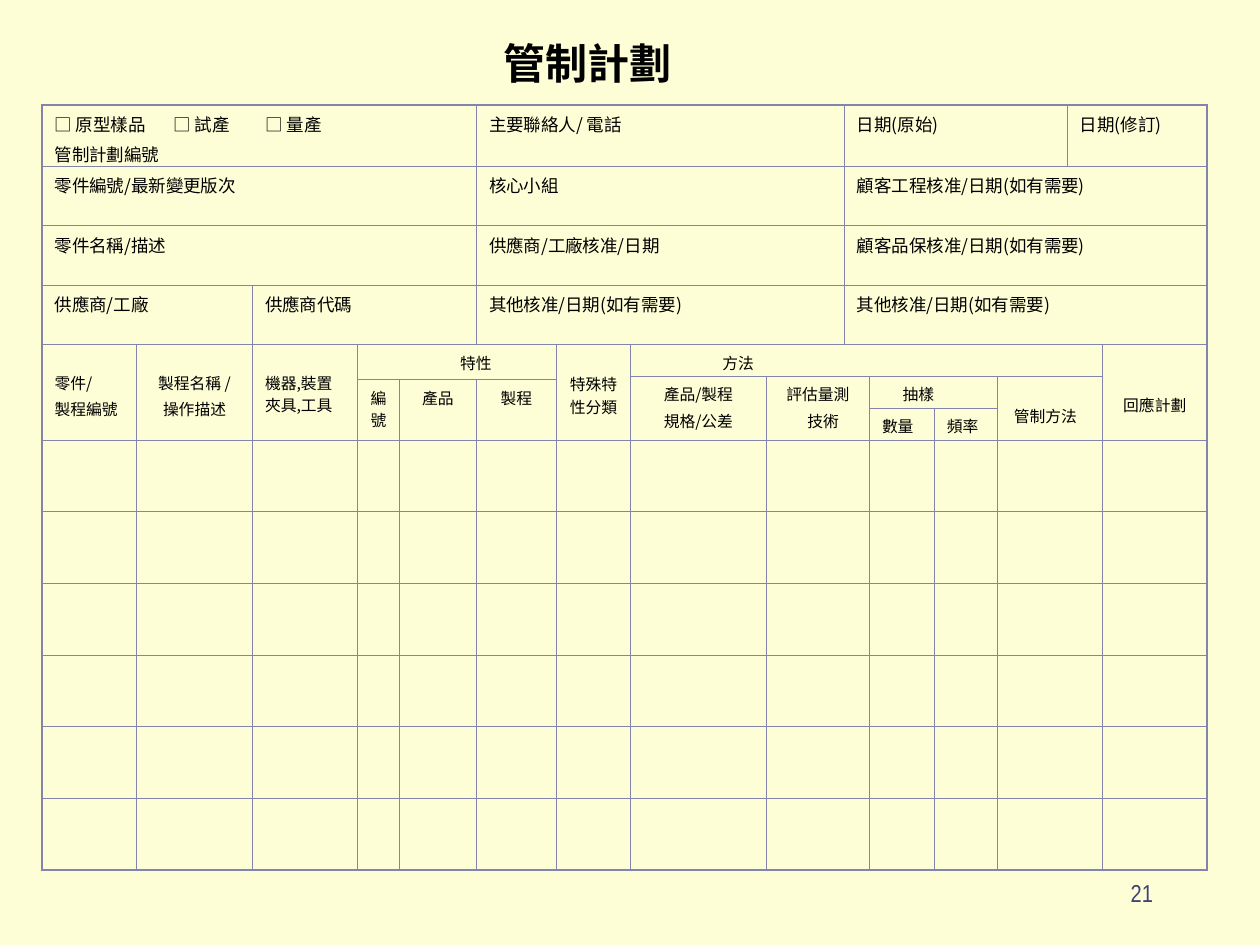
from itertools import product

from lxml.etree import SubElement
from pptx import Presentation
from pptx.dml.color import RGBColor
from pptx.enum.text import MSO_ANCHOR as Anchor, PP_ALIGN as Align
from pptx.oxml.ns import qn
from pptx.util import Pt

CJK = "Noto Sans CJK JP"
COLUMNS = [54, 66.3, 60, 24, 44, 45.7, 42.3, 77.7, 44.6, 14.3, 37.1, 36, 40, 20, 60]
HEAD_ROWS = [34] * 4 + [18, 2, 16.5, 18]
DATA_ROWS = 6
DATA_HEIGHT = 41
OPTIONAL = "/日期(如有需要)"

CONTACT_CELLS = [
    (0, 0, 5, "□ 原型樣品\t□ 試產\t□ 量產\n管制計劃編號"),
    (0, 5, 4, "主要聯絡人/ 電話"),
    (0, 9, 4, "日期(原始)"),
    (0, 13, 2, "日期(修訂)"),
    (1, 0, 5, "零件編號/最新變更版次"),
    (1, 5, 4, "核心小組"),
    (1, 9, 6, "顧客工程核准" + OPTIONAL),
    (2, 0, 5, "零件名稱/描述"),
    (2, 5, 4, "供應商/工廠核准/日期"),
    (2, 9, 6, "顧客品保核准" + OPTIONAL),
    (3, 0, 2, "供應商/工廠"),
    (3, 2, 3, "供應商代碼"),
    (3, 5, 4, "其他核准" + OPTIONAL),
    (3, 9, 6, "其他核准" + OPTIONAL),
]
HEADING_CELLS = [
    (4, 0, 4, 1, "零件/\n製程編號", dict(top=15)),
    (4, 1, 4, 1, "製程名稱 /\n操作描述", dict(top=15, align=Align.CENTER)),
    (4, 2, 4, 1, "機器,裝置夾具,工具", dict(top=15)),
    (4, 3, 2, 3, "特性", dict(left=29, align=Align.CENTER)),
    (4, 6, 4, 1, "特殊特性分類", dict(top=16, align=Align.CENTER)),
    (4, 7, 1, 7, "方法", dict(left=52.5)),
    (4, 14, 4, 1, "回應計劃", dict(top=28, align=Align.CENTER)),
    (5, 7, 3, 1, "產品/製程\n規格/公差", dict(align=Align.CENTER)),
    (5, 8, 3, 2, "評估量測\n技術", dict(align=Align.CENTER, last_indent=6)),
    (5, 10, 2, 2, "抽樣", dict(left=19)),
    (5, 12, 3, 2, "管制方法", dict(top=16, left=9.5)),
    (6, 3, 2, 1, "編號", dict(align=Align.CENTER)),
    (6, 4, 2, 1, "產品", dict(align=Align.CENTER)),
    (6, 5, 2, 1, "製程", dict(align=Align.CENTER)),
    (7, 10, 1, 1, "數量", {}),
    (7, 11, 1, 1, "頻率", {}),
]


def colour(value):
    """Return the colour for a hex string."""
    return RGBColor.from_string(value)


def write(frame, text, size=10, font=CJK, ink="000000", bold=False, align=Align.LEFT,
          before=0, top=3.6, left=7.2, bottom=3.6, anchor=Anchor.TOP, tabs=(), last_indent=0):
    """Write the lines of text into a text frame or table cell."""
    frame.margin_top, frame.margin_bottom = Pt(top), Pt(bottom)
    frame.margin_left, frame.margin_right = Pt(left), Pt(7.2)
    frame.vertical_anchor = anchor
    body = getattr(frame, "text_frame", frame)
    body.word_wrap = True
    lines = text.split("\n")
    for index, line in enumerate(lines):
        para = body.paragraphs[0] if index == 0 else body.add_paragraph()
        para.alignment = align
        para.space_before = Pt(before)
        properties = para._p.get_or_add_pPr()
        if last_indent and index == len(lines) - 1:
            properties.set("marL", str(Pt(last_indent)))
        if tabs and "\t" in line:
            stops = SubElement(properties, qn("a:tabLst"))
            for stop in tabs:
                SubElement(stops, qn("a:tab"), pos=str(Pt(stop)), algn="l")
        span = para.add_run()
        span.text = line
        span.font.size, span.font.bold, span.font.name = Pt(size), bold, font
        span.font.color.rgb = colour(ink)
        if font == CJK:
            SubElement(span._r.get_or_add_rPr(), qn("a:ea"), typeface=font)


def add_label(page, left, top, width, height, text, **style):
    """Add a text box to the page."""
    box = page.shapes.add_textbox(Pt(left), Pt(top), Pt(width), Pt(height))
    write(box.text_frame, text, **style)


def rule_cell(cell, edges):
    """Clear a cell's fill and rule its sides, heavier on the table's edge."""
    properties = cell._tc.get_or_add_tcPr()
    for side, outer in zip("LRTB", edges):
        line = SubElement(properties, qn("a:ln" + side), w=str(Pt(1.08 if outer else 0.45)))
        fill = SubElement(line, qn("a:solidFill"))
        SubElement(fill, qn("a:srgbClr"), val="8383AD")
    cell.fill.background()


def merge(table, row, column, height, width):
    """Join a block of cells and return its first cell."""
    cell = table.cell(row, column)
    if height * width > 1:
        cell.merge(table.cell(row + height - 1, column + width - 1))
    return cell


def add_control_plan(page, left, top):
    """Add the control plan form with its top left corner at the given place."""
    heights = HEAD_ROWS + [DATA_HEIGHT] * DATA_ROWS
    rows, columns = len(heights), len(COLUMNS)
    table = page.shapes.add_table(rows, columns, Pt(left), Pt(top),
                                  Pt(sum(COLUMNS)), Pt(sum(heights))).table
    table.first_row = table.horz_banding = False
    for column, width in zip(table.columns, COLUMNS):
        column.width = Pt(width)
    for row, height in zip(table.rows, heights):
        row.height = Pt(height)
    for row, column, width, text in CONTACT_CELLS:
        write(merge(table, row, column, 1, width), text, before=2.5, bottom=0, tabs=(68, 120.5))
    for row, column, height, width, text, style in HEADING_CELLS:
        write(merge(table, row, column, height, width), text, size=9, before=2.2, bottom=0, **style)
    for row, column in product(range(len(HEAD_ROWS), rows), (8, 12)):
        merge(table, row, column, 1, 2)
    for row, column in product(range(rows), range(columns)):
        cell = table.cell(row, column)
        last_row = row + (cell.span_height if cell.is_merge_origin else 1)
        last_column = column + (cell.span_width if cell.is_merge_origin else 1)
        rule_cell(cell, (column == 0, last_column == columns, row == 0, last_row == rows))


def build_page(deck):
    """Add the control plan page to the deck."""
    page = deck.slides.add_slide(deck.slide_layouts[6])
    page.background.fill.solid()
    page.background.fill.fore_color.rgb = colour("FEFED6")
    add_control_plan(page, 24, 60)
    add_label(page, 30, 18, 612, 36, "管制計劃", size=24, font="Arial", bold=True,
              align=Align.CENTER, anchor=Anchor.MIDDLE)
    add_label(page, 516, 486, 150, 36, "21", size=14, font="Arial Narrow", ink="404176",
              align=Align.RIGHT, anchor=Anchor.BOTTOM)


deck = Presentation()
deck.slide_width, deck.slide_height = Pt(720), Pt(540)
build_page(deck)
deck.save("out.pptx")
